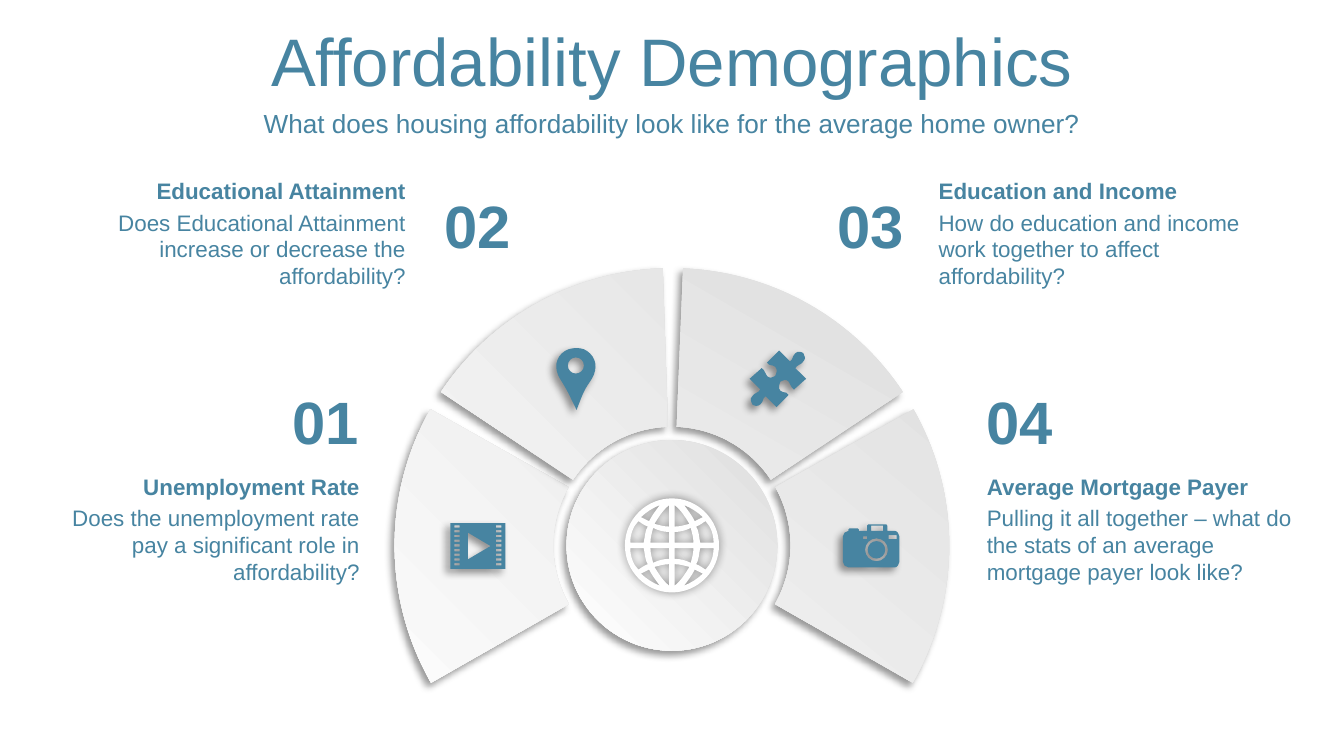
from dataclasses import dataclass

from lxml.etree import SubElement
from pptx import Presentation
from pptx.dml.color import RGBColor
from pptx.enum.shapes import MSO_SHAPE
from pptx.enum.text import MSO_ANCHOR, MSO_AUTO_SIZE, PP_ALIGN
from pptx.oxml.ns import qn
from pptx.util import Cm, Pt


@dataclass(frozen=True)
class Theme:
    font: str = "Arial"
    accent: RGBColor = RGBColor(0x47, 0x84, 0xA1)
    white: RGBColor = RGBColor(0xFF, 0xFF, 0xFF)
    grey: RGBColor = RGBColor(0xDE, 0xDE, 0xDE)
    title: int = 36
    subtitle: int = 14
    number: int = 32
    text: int = 12


THEME = Theme()
ICON_UNIT = Cm(0.0254)  # icon outlines are drawn in hundredths of an inch


# Text and effects
def write(frame, text, size, align, bold=False):
    frame.text = text
    paragraph = frame.paragraphs[0]
    paragraph.alignment = align
    font = paragraph.runs[0].font
    font.name, font.size, font.bold = THEME.font, Pt(size), bold
    font.color.rgb = THEME.accent


def add_text(shapes, box, text, size, align, bold=False, wrap=True):
    frame = shapes.add_textbox(*map(Cm, box)).text_frame
    frame.word_wrap = wrap
    frame.auto_size = MSO_AUTO_SIZE.SHAPE_TO_FIT_TEXT
    write(frame, text, size, align, bold)
    return frame


def finish(shape, blur=4, distance=3, direction=135):
    """Remove the outline and set a soft shadow."""
    shape.line.fill.background()
    shape.shadow.inherit = False
    effects = shape.element.spPr.find(qn("a:effectLst"))
    shadow = SubElement(effects, qn("a:outerShdw"), blurRad=str(Pt(blur)), dist=str(Pt(distance)),
                        dir=str(direction * 60000), algn="ctr", rotWithShape="0")
    color = SubElement(shadow, qn("a:srgbClr"), val="000000")
    SubElement(color, qn("a:alpha"), val="40000")


def shade(shape, angle):
    shape.fill.gradient()
    shape.fill.gradient_angle = 360 - angle
    for stop, color in zip(shape.fill.gradient_stops, (THEME.grey, THEME.white)):
        stop.color.rgb = color
    finish(shape)


# Outlines: a start, then pairs for straight lines and six numbers for cubic curves
def circle(x, y, r):
    k = 0.55 * r
    return [(x, y - r), (x + k, y - r, x + r, y - k, x + r, y), (x + r, y + k, x + k, y + r, x, y + r),
            (x - k, y + r, x - r, y + k, x - r, y), (x - r, y - k, x - k, y - r, x, y - r)]


def rectangle(x, y, width, height):
    return [(x, y), (x + width, y), (x + width, y + height), (x, y + height)]


def mirror(outline, sx, sy):
    return [tuple(v * (sy if i % 2 else sx) for i, v in enumerate(segment)) for segment in outline]


def film():
    holes = [rectangle(x, 1.7 + 3.5 * row, 4, 1.7) for x in (3, 34) for row in range(9)]
    return [rectangle(0, 0, 41, 34), [(13, 7), (13, 27), (30, 17)], *holes]


def pin():
    drop = [(16, 0), (20, 0, 23, 1, 26, 4), (32, 10, 31, 18, 26, 25), (21, 32, 20, 36, 16, 46),
            (11, 36, 10, 33, 5, 25), (0, 18, -1, 10, 5, 4), (8, 1, 12, 0, 16, 0)]
    return [drop, circle(15.5, 13, 6)]


def puzzle():
    half = [(19, -19), (20, -17, 21, -15, 19, -13), (17, -10, 15, -11, 13, -8), (21, 0), (12, 8),
            (9, 6, 10, 4, 8, 2), (6, 0, 4, 1, 2, 2), (1, 4, 0, 7, 2, 9), (5, 11, 6, 9, 8, 12),
            (-1, 21), (-9, 13), (-12, 15, -10, 16, -13, 19), (-15, 21, -18, 20, -19, 19)]
    return [half + mirror(half, -1, -1)[1:]]


def camera():
    body = [(19, 0), (31, 0), (32, 0, 33, 0, 33, 1), (33, 5), (39, 5), (40, 5, 42, 7, 42, 9),
            (42, 28), (42, 30, 40, 32, 39, 32), (4, 32), (2, 32, 0, 30, 0, 28), (0, 9),
            (0, 7, 2, 5, 4, 5), (4, 4), (4, 4, 5, 3, 5, 3), (11, 3), (11, 3, 12, 4, 12, 4),
            (12, 5), (18, 5), (18, 1), (18, 0, 19, 0, 19, 0)]
    windows = [rectangle(15, 9, 3, 2), rectangle(34, 8, 6, 3), rectangle(21, 1, 9, 4)]
    return [body, circle(25, 19, 8.5), circle(25, 19, 6.5), *windows]


def globe():
    cells = [
        [(2, 2), (2, 10), (6, 10, 10, 11, 14, 13), (15, 9, 16, 6, 16, 2)],
        [(21, 2), (20, 7, 20, 11, 18, 14), (21, 15, 23, 17, 25, 18), (29, 14, 31, 8, 31, 2)],
        [(2, 14), (2, 30), (7, 26, 10, 21, 13, 16), (9, 15, 6, 14, 2, 14)],
        [(17, 18), (15, 22, 12, 26, 9, 30), (14, 28, 19, 25, 23, 21), (21, 20, 19, 19, 17, 18)],
    ]
    return [circle(0, 0, 35), *(mirror(cell, sx, sy) for cell in cells for sx in (1, -1) for sy in (1, -1))]


def bend(icon, outlines):
    """Turn the straight lines that stand for cubic curves into curves."""
    segments = [segment for outline in outlines for segment in outline[1:]]
    for line, segment in zip(list(icon.element.iter(qn("a:lnTo"))), segments):
        if len(segment) == 6:
            line.tag = qn("a:cubicBezTo")
            for x, y in (segment[2:4], segment[:2]):
                control = SubElement(line, qn("a:pt"), x=str(x - icon.left), y=str(y - icon.top))
                line.insert(0, control)


def add_icon(shapes, left, top, outlines, color, **shadow):
    origin = Cm(left), Cm(top)
    placed = [[tuple(round(origin[i % 2] + v * ICON_UNIT) for i, v in enumerate(segment))
               for segment in outline] for outline in outlines]
    builder = shapes.build_freeform(*placed[0][0])
    for index, outline in enumerate(placed):
        if index:
            builder.move_to(*outline[0])
        builder.add_line_segments([segment[-2:] for segment in outline[1:]], close=True)
    icon = builder.convert_to_shape()
    bend(icon, placed)
    icon.fill.solid()
    icon.fill.fore_color.rgb = color
    finish(icon, **shadow)


# Regions
def add_heading(slide, left, top, width):
    title = slide.shapes.title
    title.left, title.top, title.width, title.height = map(Cm, (left, top, width, 1.6))
    write(title.text_frame, "Affordability Demographics", THEME.title, PP_ALIGN.CENTER)
    title.text_frame.vertical_anchor = MSO_ANCHOR.MIDDLE
    subtitle = add_text(slide.shapes, (left, top + 1.61, width, 0.79),
                        "What does housing affordability look like for the average home owner?",
                        THEME.subtitle, PP_ALIGN.CENTER)
    subtitle.vertical_anchor = MSO_ANCHOR.MIDDLE


def add_fan(shapes, left, top, size):
    # Segments: start and end in degrees, gradient angle, mirrored
    for start, end, angle, flip in ((150.3, 209.4, 135, False), (213.6, 268.1, 135, False),
                                    (150.3, 209.4, 50, True), (213.6, 267.7, 60, True)):
        segment = shapes.add_shape(MSO_SHAPE.BLOCK_ARC, Cm(left), Cm(top), Cm(size), Cm(size))
        for index, value in enumerate((start * 0.6, end * 0.6, 0.286)):
            segment.adjustments[index] = value
        if flip:
            segment.element.spPr.xfrm.set("flipH", "1")
        shade(segment, angle)
    # Hub
    middle, hub_size = size / 2, 0.38 * size
    inset = middle - hub_size / 2
    hub = shapes.add_shape(MSO_SHAPE.OVAL, Cm(left + inset), Cm(top + inset), Cm(hub_size), Cm(hub_size))
    shade(hub, 135)
    add_icon(shapes, left + middle, top + middle, globe(), THEME.white, blur=5, distance=0, direction=0)
    # Segment icons
    for x, y, outlines in ((1.05, 4.82, film()), (3.03, 1.51, pin()),
                           (7.24, 2.09, puzzle()), (8.47, 4.84, camera())):
        add_icon(shapes, left + x, top + y, outlines, THEME.accent)


def add_topic(shapes, left, top, align, heading, question):
    topic = shapes.add_group_shape().shapes
    add_text(topic, (left, top + 0.6, 6.45, 1.8), question, THEME.text, align)
    add_text(topic, (left, top, 6.45, 0.76), heading, THEME.text, align, bold=True)


TOPICS = [
    ("01", 5.28, 7.14, 0.6, 8.81, PP_ALIGN.RIGHT, "Unemployment Rate",
     "Does the unemployment rate pay a significant role in affordability?"),
    ("02", 8.15, 3.45, 1.47, 3.22, PP_ALIGN.RIGHT, "Educational Attainment",
     "Does Educational Attainment increase or decrease the affordability?"),
    ("03", 15.57, 3.45, 17.49, 3.22, PP_ALIGN.LEFT, "Education and Income",
     "How do education and income work together to affect affordability?"),
    ("04", 18.4, 7.14, 18.4, 8.81, PP_ALIGN.LEFT, "Average Mortgage Payer",
     "Pulling it all together – what do the stats of an average mortgage payer look like?"),
]


def main():
    deck = Presentation()
    deck.slide_width, deck.slide_height = Cm(25.4), Cm(14.29)
    slide = deck.slides.add_slide(deck.slide_layouts[5])
    add_heading(slide, 0, 0.33, 25.4)
    add_fan(slide.shapes, 7.46, 5.07, 10.48)
    for number, x, y, left, top, align, heading, question in TOPICS:
        add_topic(slide.shapes, left, top, align, heading, question)
        add_text(slide.shapes, (x, y, 1.78, 1.63), number, THEME.number, PP_ALIGN.LEFT, bold=True, wrap=False)
    deck.save("out.pptx")


if __name__ == "__main__":
    main()
